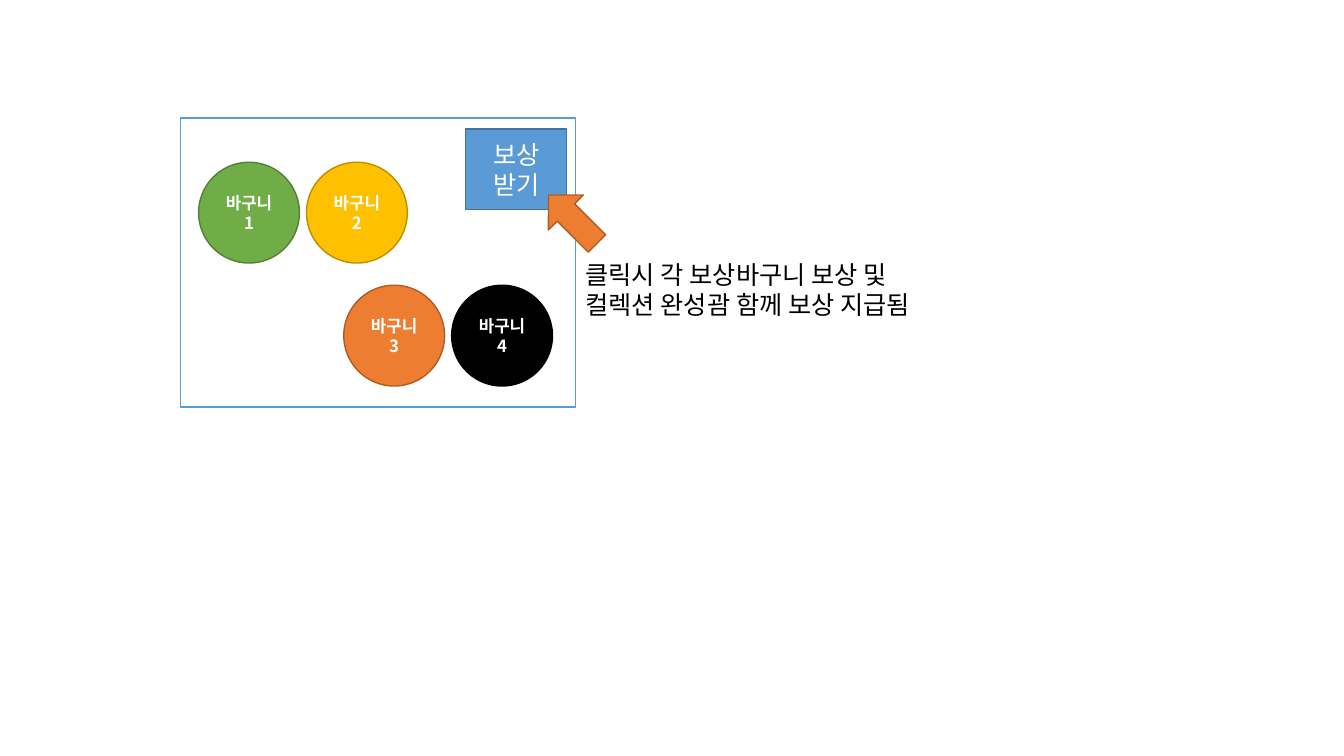
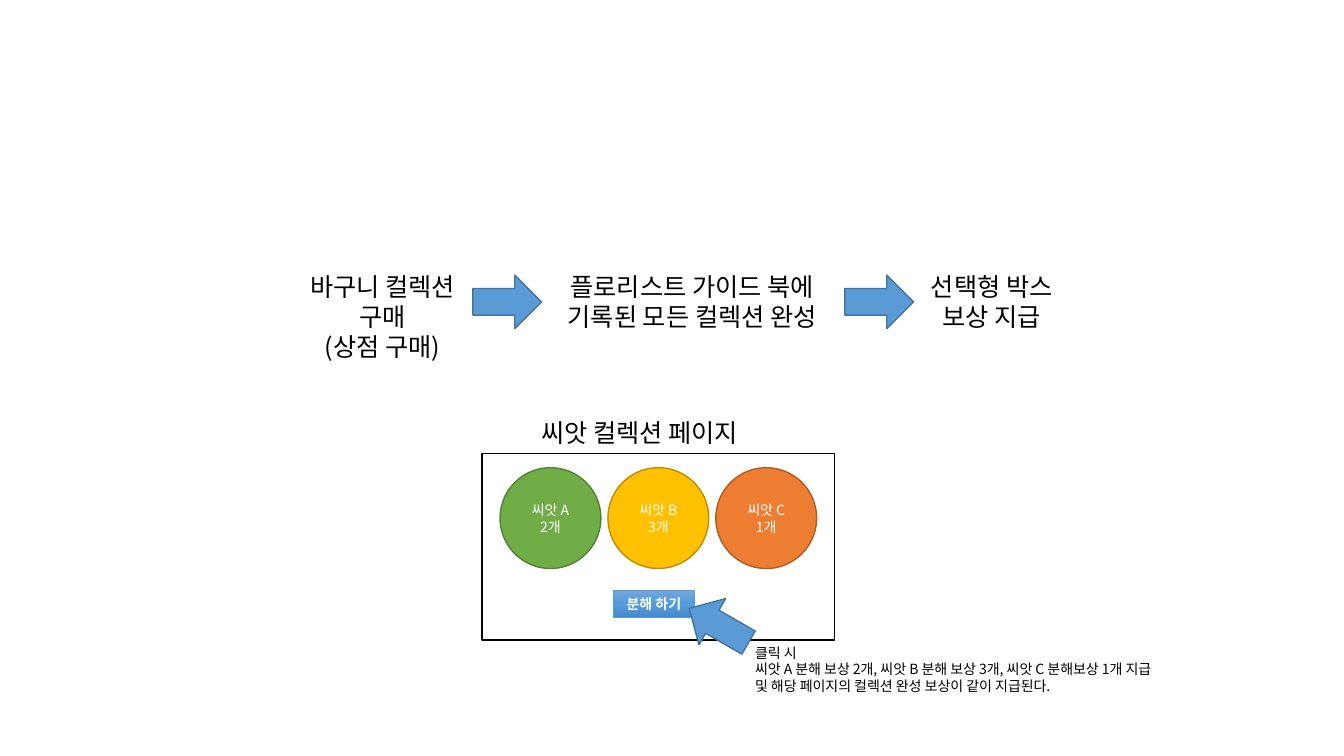
import copy
import pptx
import pptx.dml.color
import pptx.enum.shapes
import pptx.enum.text
import pptx.oxml.ns
import pptx.util

Inches = pptx.util.Inches
Form = pptx.enum.shapes.MSO_SHAPE
Align = pptx.enum.text.PP_ALIGN
Fit = pptx.enum.text.MSO_AUTO_SIZE
qn = pptx.oxml.ns.qn

FONT = "Noto Sans CJK KR"
WHITE, BLACK = "FFFFFF", "000000"
# Each theme pair is a fill and its darker outline
BLUE = ("5B9BD5", "43739E")
GREEN = ("70AD47", "538035")
GOLD = ("FFC000", "BD8E00")
ORANGE = ("ED7D31", "AF5C24")
DARK = (BLACK, BLACK)


def rgb(code):
    return pptx.dml.color.RGBColor.from_string(code)


class Deck:
    def __init__(self):
        self.show = pptx.Presentation()
        self.show.slide_width = Inches(13.33)
        self.show.slide_height = Inches(7.5)
        self.slide = None

    def page(self):
        self.slide = self.show.slides.add_slide(self.show.slide_layouts[6])

    def words(self, frame, text, size, color, bold=False, align=Align.CENTER):
        frame.text = text
        for para in frame.paragraphs:
            para.alignment = align
            for run in para.runs:
                font = run.font
                font.name, font.size, font.bold = FONT, pptx.util.Pt(size), bold
                font.color.rgb = rgb(color)
                # Korean glyphs take the East Asian font
                props = run._r.get_or_add_rPr()
                east = props.makeelement(qn("a:ea"), {"typeface": FONT})
                props.find(qn("a:latin")).addnext(east)

    def shape(self, form, box, pair, text="", size=18, bold=False, turn=0):
        item = self.slide.shapes.add_shape(form, *map(Inches, box))
        item.shadow.inherit = False
        item.rotation = turn
        item.fill.solid()
        item.fill.fore_color.rgb = rgb(pair[0])
        item.line.color.rgb = rgb(pair[1])
        item.line.width = pptx.util.Pt(1)
        if text:
            item.text_frame.word_wrap = True
            item.text_frame.vertical_anchor = pptx.enum.text.MSO_ANCHOR.MIDDLE
            self.words(item.text_frame, text, size, WHITE, bold)
        return item

    def disc(self, left, top, pair, text, size, bold=False):
        self.shape(Form.OVAL, (left, top, 1, 1), pair, text, size, bold)

    def shade(self, item, colors):
        item.fill.gradient()
        item.fill.gradient_angle = 270
        stops = item._element.spPr.find(".//" + qn("a:gsLst"))
        stops.insert(1, copy.deepcopy(stops[0]))
        for i, (stop, color) in enumerate(zip(item.fill.gradient_stops, colors)):
            stop.position = i / (len(colors) - 1)
            stop.color.rgb = rgb(color)

    def label(self, box, text, size=18, align=Align.CENTER, wrap=False):
        frame = self.slide.shapes.add_textbox(*map(Inches, box)).text_frame
        frame.word_wrap = wrap
        frame.auto_size = Fit.SHAPE_TO_FIT_TEXT
        self.words(frame, text, size, BLACK, align=align)


deck = Deck()

# Slide 1: reward baskets
deck.page()
deck.shape(Form.RECTANGLE, (1.79, 1.17, 3.92, 2.87), (WHITE, BLUE[0]))
for i, pair in enumerate((GREEN, GOLD, ORANGE, DARK)):
    row, col = divmod(i, 2)
    deck.disc(1.97 + 1.07 * col + 1.44 * row, 1.61 + 1.22 * row,
              pair, f"바구니 {i + 1}", 12, True)
deck.shape(Form.RECTANGLE, (4.62, 1.28, 1, 0.8), BLUE, "보상 받기")
deck.shape(Form.LEFT_ARROW, (5.34, 1.93, 0.68, 0.49), ORANGE, turn=45)
deck.label((5.71, 2.52, 3.84, 0.71),
           "클릭시 각 보상바구니 보상 및\n컬렉션 완성괌 함께 보상 지급됨", align=Align.LEFT)

# Slide 2: steps to the reward
deck.page()
for left, wide, high, text in (
        (2.89, 1.81, 1.01, "바구니 컬렉션\n구매\n(상점 구매)"),
        (5.37, 2.99, 0.71, "플로리스트 가이드 북에\n기록된 모든 컬렉션 완성"),
        (9.06, 1.55, 0.71, "선택형 박스\n보상 지급")):
    deck.label((left, 2.64, wide, high), text)
for left in (4.69, 8.38):
    deck.shape(Form.RIGHT_ARROW, (left, 2.73, 0.68, 0.53), BLUE)

# Seed collection page
deck.label((5.27, 4.09, 2.4, 0.4), "씨앗 컬렉션 페이지", align=Align.LEFT)
deck.shape(Form.RECTANGLE, (4.78, 4.5, 3.5, 1.85), (WHITE, BLACK))
seeds = ((GREEN, "A", 2), (GOLD, "B", 3), (ORANGE, "C", 1))
for i, (pair, name, count) in enumerate(seeds):
    deck.disc(4.96 + 1.07 * i, 4.64, pair, f"씨앗 {name}\n{count}개", 10)

# Button, pointer and note
button = deck.shape(Form.RECTANGLE, (6.08, 5.86, 0.81, 0.27),
                    (BLUE[0], BLUE[0]), "분해 하기", 10, True)
deck.shade(button, ("71A6DB", "559BDB", "448ACA"))
button.line.width = pptx.util.Pt(0.5)
button.text_frame.word_wrap = False
button.text_frame.auto_size = Fit.SHAPE_TO_FIT_TEXT
deck.shape(Form.RIGHT_ARROW, (6.79, 5.94, 0.68, 0.53), BLUE, turn=210)
deck.label((7.39, 6.34, 4.67, 0.61),
           "클릭 시\v씨앗 A 분해 보상 2개, 씨앗 B 분해 보상 3개, 씨앗 C 분해보상 1개 지급"
           "\v및 해당 페이지의 컬렉션 완성 보상이 같이 지급된다.",
           10, Align.LEFT, wrap=True)

deck.show.save("out.pptx")
